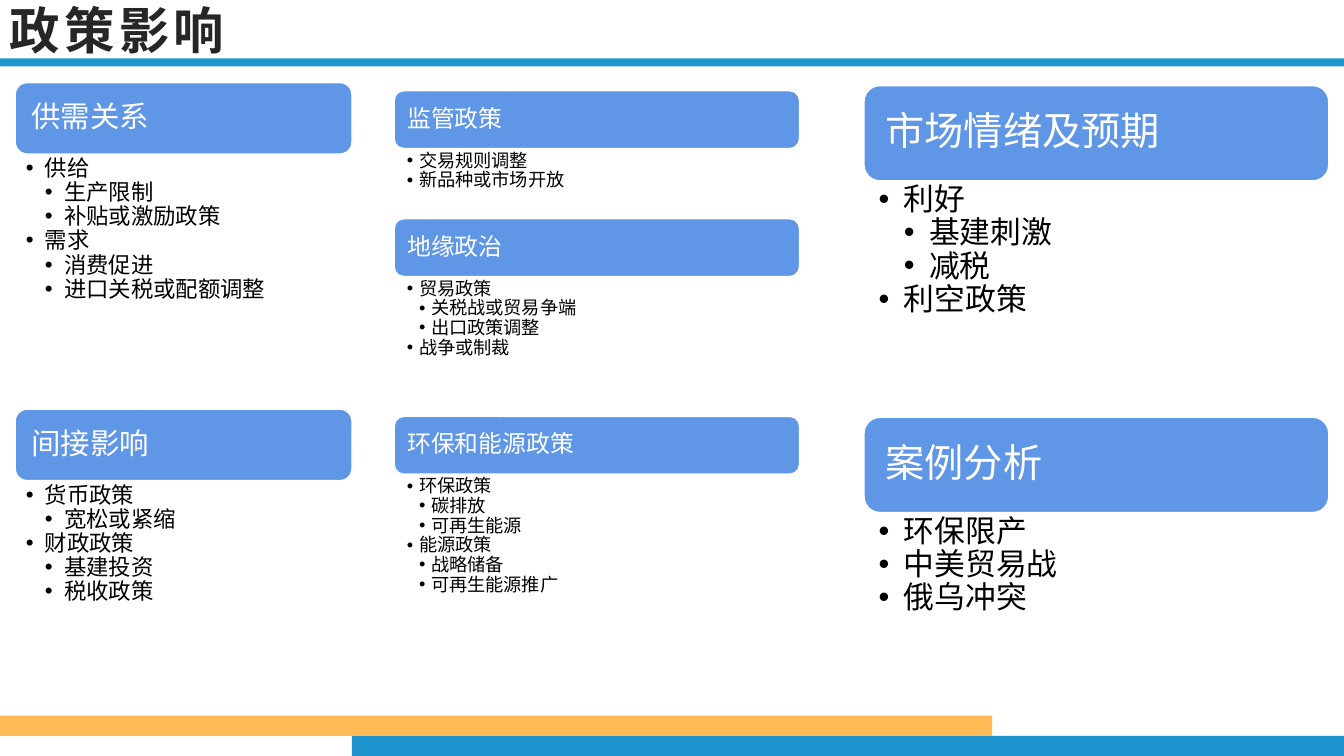
from dataclasses import dataclass

from lxml import etree
from pptx import Presentation
from pptx.dml.color import RGBColor
from pptx.enum.shapes import MSO_SHAPE
from pptx.enum.text import MSO_ANCHOR, PP_ALIGN
from pptx.oxml.ns import qn
from pptx.util import Inches, Pt

RECT = MSO_SHAPE.RECTANGLE
ROUND = MSO_SHAPE.ROUNDED_RECTANGLE
TOP = MSO_ANCHOR.TOP
MIDDLE = MSO_ANCHOR.MIDDLE
LEFT = PP_ALIGN.LEFT
WIDTH = Inches(13.33)
HEIGHT = Inches(7.5)


@dataclass(frozen=True)
class Theme:
    blue: str = "2094CE"
    gold: str = "FFBA55"
    card: str = "6096E6"
    white: str = "FFFFFF"
    ink: str = "000000"
    dark: str = "262626"
    font: str = "Arial"
    asian: str = "Noto Sans CJK SC"
    title: int = 36
    heads: tuple = (21, 17, 28)
    lists: tuple = (16, 13, 22)


THEME = Theme()

BARS = [
    (26.18, 97.33, 73.82, 2.67, THEME.blue),
    (0, 94.67, 73.82, 2.67, THEME.gold),
    (0, 7.73, 100, 1.07, THEME.blue),
]

COLUMNS = [
    (1.13, 25.06, 0.19, [10.93, 54.13, 91.47], [
        ("供需关系", [(1, "供给"), (2, "生产限制"), (2, "补贴或激励政策"),
                  (1, "需求"), (2, "消费促进"), (2, "进口关税或配额调整")]),
        ("间接影响", [(1, "货币政策"), (2, "宽松或紧缩"), (1, "财政政策"),
                  (2, "基建投资"), (2, "税收政策")]),
    ]),
    (29.33, 30.16, 0.12, [12, 28.93, 55.07, 90], [
        ("监管政策", [(1, "交易规则调整"), (1, "新品种或市场开放")]),
        ("地缘政治", [(1, "贸易政策"), (2, "关税战或贸易争端"),
                  (2, "出口政策调整"), (1, "战争或制裁")]),
        ("环保和能源政策", [(1, "环保政策"), (2, "碳排放"), (2, "可再生能源"),
                     (1, "能源政策"), (2, "战略储备"), (2, "可再生能源推广")]),
    ]),
    (64.29, 34.58, 0.25, [11.33, 55.2, 91.07], [
        ("市场情绪及预期", [(1, "利好"), (2, "基建刺激"), (2, "减税"), (1, "利空政策")]),
        ("案例分析", [(1, "环保限产"), (1, "中美贸易战"), (1, "俄乌冲突")]),
    ]),
]


def place(left, top, width, height):
    return (int(WIDTH * left / 100), int(HEIGHT * top / 100),
            int(WIDTH * width / 100), int(HEIGHT * height / 100))


def write(frame, lines, size, color, font=THEME.font, bold=False, space=0,
          line=0.9, indent=0, pads=(0.1, 0.05), anchor=TOP):
    frame.word_wrap = True
    frame.vertical_anchor = anchor
    frame.margin_left = frame.margin_right = Inches(pads[0])
    frame.margin_top = frame.margin_bottom = Inches(pads[1])
    for index, (level, text) in enumerate(lines):
        para = frame.paragraphs[0] if index == 0 else frame.add_paragraph()
        para.alignment = LEFT
        para.line_spacing = line
        para.level = level
        if indent:
            props = para._p.get_or_add_pPr()
            props.set("marL", str(Inches(indent * level)))
            props.set("indent", str(-Inches(indent)))
            etree.SubElement(props, qn("a:buFont")).set("typeface", THEME.font)
            etree.SubElement(props, qn("a:buChar")).set("char", "•")
        run = para.add_run()
        run.text = text
        run.font.size = Pt(size)
        run.font.bold = bold
        run.font.name = font
        run.font.color.rgb = RGBColor.from_string(color)
        marks = run._r.get_or_add_rPr()
        if space:
            marks.set("spc", str(space * 100))
        etree.SubElement(marks, qn("a:ea")).set("typeface", THEME.asian)


def block(slide, kind, area, fill, edge=None):
    shape = slide.shapes.add_shape(kind, *place(*area))
    shape.shadow.inherit = False
    shape.fill.solid()
    shape.fill.fore_color.rgb = RGBColor.from_string(fill)
    if edge:
        shape.line.color.rgb = RGBColor.from_string(edge)
        shape.line.width = Pt(1)
    else:
        shape.line.fill.background()
    return shape


def label(slide, area, lines, size, color, **style):
    box = slide.shapes.add_textbox(*place(*area))
    write(box.text_frame, lines, size, color, **style)


def column(slide, left, width, indent, tops, cards, head, body):
    rise = head * 0.45
    for top, end, (name, items) in zip(tops, tops[1:], cards):
        card = block(slide, ROUND, (left, top, width, rise), THEME.card, THEME.white)
        write(card.text_frame, [(0, name)], head, THEME.white,
              pads=(head * 0.006, 0.05), anchor=MIDDLE)
        label(slide, (left, top + rise, width, end - top - rise), items, body,
              THEME.ink, indent=indent, pads=(width * 0.0042, 0.03))


def main():
    deck = Presentation()
    deck.slide_width = WIDTH
    deck.slide_height = HEIGHT
    slide = deck.slides.add_slide(deck.slide_layouts[6])
    for *area, color in BARS:
        block(slide, RECT, area, color)
    label(slide, (0, 0, 85.82, 7.73), [(0, "政策影响")], THEME.title, THEME.dark,
          font=THEME.asian, bold=True, space=3, line=1.0, anchor=MIDDLE)
    for data, head, body in zip(COLUMNS, THEME.heads, THEME.lists):
        column(slide, *data, head, body)
    deck.save("out.pptx")


if __name__ == "__main__":
    main()
